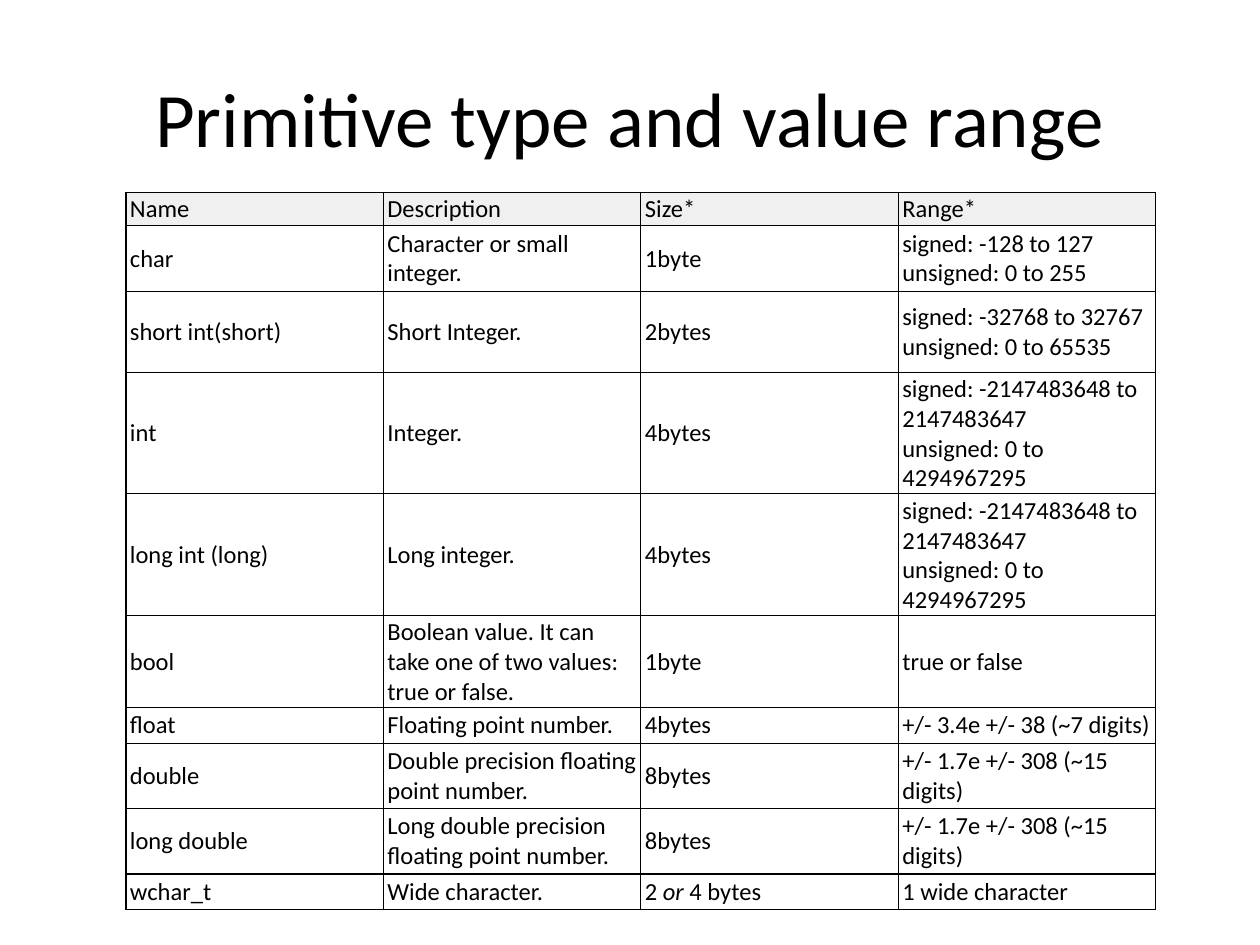
from typing import NamedTuple

from lxml import etree
from pptx import Presentation
from pptx.dml.color import RGBColor
from pptx.enum.text import MSO_ANCHOR, PP_ALIGN
from pptx.oxml.ns import qn
from pptx.util import Cm, Pt

MIDDLE = MSO_ANCHOR.MIDDLE
CENTER = PP_ALIGN.CENTER
BLACK = RGBColor(0x00, 0x00, 0x00)
WHITE = RGBColor(0xFF, 0xFF, 0xFF)
HEADER_GREY = RGBColor(0xF0, 0xF0, 0xF0)
FONT = "Calibri"
ITALIC_MARK = "|"
COLUMN_WIDTH = Cm(5.19)
TABLE_HEIGHT = Cm(14.45)
BORDER_WIDTH = Pt(0.75)


class TypeRow(NamedTuple):
    height: float
    name: str
    description: str
    size: str
    value_range: str


LONG_RANGE = "signed: -2147483648 to 2147483647\nunsigned: 0 to 4294967295"
DOUBLE_RANGE = "+/- 1.7e +/- 308 (~15 digits)"

TYPE_ROWS = [
    TypeRow(0.41, "Name", "Description", "Size*", "Range*"),
    TypeRow(1.32, "char", "Character or small integer.", "1byte",
            "signed: -128 to 127\nunsigned: 0 to 255"),
    TypeRow(1.63, "short int(short)", "Short Integer.", "2bytes",
            "signed: -32768 to 32767\nunsigned: 0 to 65535"),
    TypeRow(1.93, "int", "Integer.", "4bytes", LONG_RANGE),
    TypeRow(1.93, "long int\u00a0(long)", "Long integer.", "4bytes", LONG_RANGE),
    TypeRow(1.63, "bool",
            "Boolean value. It can take one of two values: true or false.",
            "1byte", "true\u00a0or\u00a0false"),
    TypeRow(0.71, "float", "Floating point number.", "4bytes",
            "+/- 3.4e +/- 38 (~7 digits)"),
    TypeRow(1.32, "double", "Double precision floating point number.",
            "8bytes", DOUBLE_RANGE),
    TypeRow(1.32, "long double", "Long double precision floating point number.",
            "8bytes", DOUBLE_RANGE),
    TypeRow(0.71, "wchar_t", "Wide character.",
            "2\u00a0|or|\u00a04 bytes", "1 wide character"),
]


def style_paragraph(paragraph, size: float) -> None:
    paragraph.font.name = FONT
    paragraph.font.size = Pt(size)
    paragraph.font.color.rgb = BLACK


def add_borders(cell) -> None:
    properties = cell._tc.get_or_add_tcPr()
    for side in ("a:lnL", "a:lnR", "a:lnT", "a:lnB"):
        line = etree.SubElement(properties, qn(side), w=str(BORDER_WIDTH))
        fill = etree.SubElement(line, qn("a:solidFill"))
        etree.SubElement(fill, qn("a:srgbClr"), val=str(BLACK))


def fill_cell(cell, text: str, background: RGBColor) -> None:
    add_borders(cell)
    cell.fill.solid()
    cell.fill.fore_color.rgb = background
    cell.vertical_anchor = MIDDLE
    cell.margin_left = cell.margin_right = Cm(0.08)
    cell.margin_top = cell.margin_bottom = Cm(0.04)
    paragraph = cell.text_frame.paragraphs[0]
    if ITALIC_MARK in text:
        for index, piece in enumerate(text.split(ITALIC_MARK)):
            run = paragraph.add_run()
            run.text = piece
            run.font.italic = index % 2 == 1
    else:
        paragraph.text = text
    style_paragraph(paragraph, 14)


def add_title(slide, text: str) -> None:
    title = slide.shapes.add_textbox(Cm(1.27), Cm(0.76), Cm(22.86), Cm(3.18))
    frame = title.text_frame
    frame.word_wrap = True
    frame.vertical_anchor = MIDDLE
    heading = frame.paragraphs[0]
    heading.text = text
    heading.alignment = CENTER
    style_paragraph(heading, 44)


def add_type_table(slide, type_rows: list[TypeRow]) -> None:
    columns = len(TypeRow._fields) - 1
    frame = slide.shapes.add_table(len(type_rows), columns, Cm(2.54), Cm(3.88),
                                   COLUMN_WIDTH * columns, TABLE_HEIGHT)
    table = frame.table
    table.horz_banding = False
    for column in table.columns:
        column.width = COLUMN_WIDTH
    for index, (row, type_row) in enumerate(zip(table.rows, type_rows)):
        row.height = Cm(type_row.height)
        background = WHITE if index else HEADER_GREY
        for cell, text in zip(row.cells, type_row[1:]):
            fill_cell(cell, text, background)
    table.first_row = False
    frame.height = TABLE_HEIGHT


presentation = Presentation()
presentation.slide_width = Cm(25.4)
presentation.slide_height = Cm(19.05)
slide = presentation.slides.add_slide(presentation.slide_layouts[6])
add_title(slide, "Primitive type and value range")
add_type_table(slide, TYPE_ROWS)
presentation.save("out.pptx")
